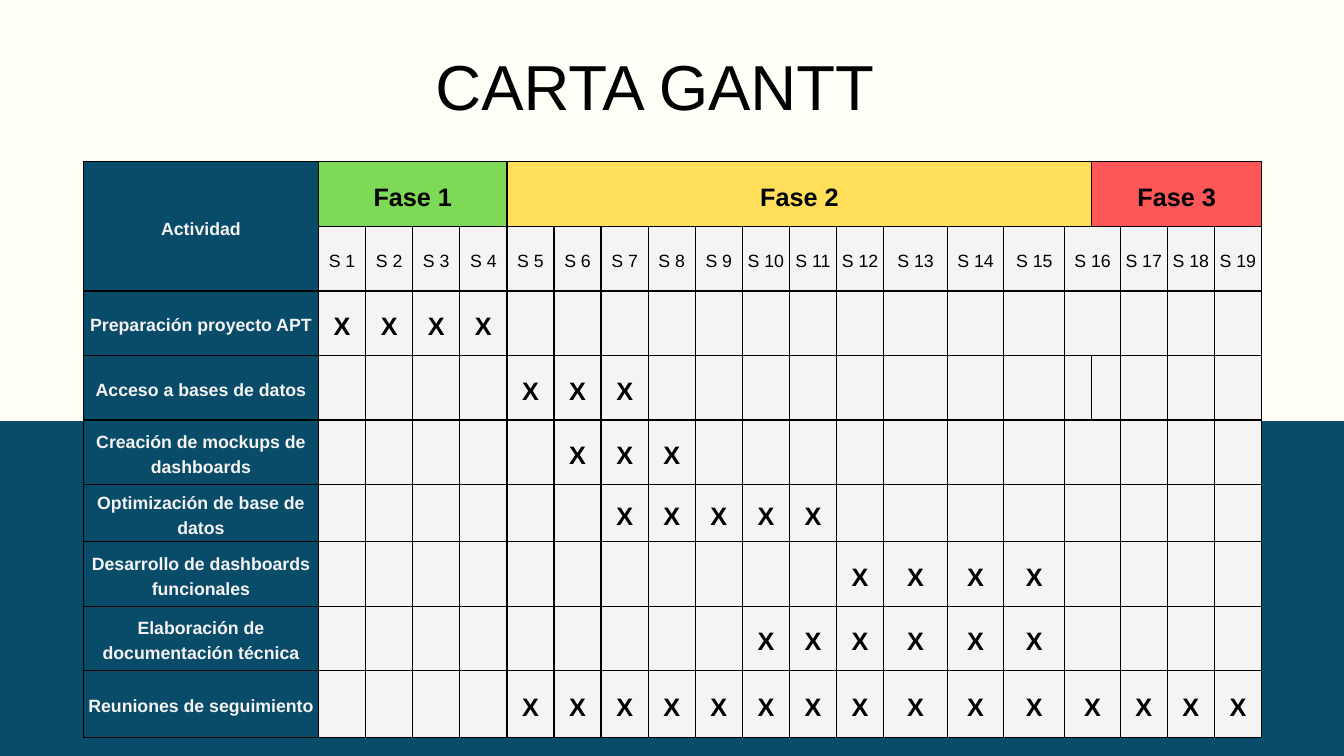
from dataclasses import dataclass

from lxml.etree import SubElement
from pptx import Presentation
from pptx.dml.color import RGBColor
from pptx.enum.shapes import MSO_SHAPE
from pptx.enum.text import MSO_ANCHOR, PP_ALIGN
from pptx.oxml.ns import qn
from pptx.util import Cm, Pt


@dataclass(frozen=True)
class Theme:
    font: str = "Arial"
    cream: str = "FFFEF7"
    navy: str = "094C69"
    pale: str = "F5F3F3"
    black: str = "000000"
    green: str = "7ED957"
    yellow: str = "FFDE59"
    red: str = "FF5757"
    title_size: float = 68.1
    mark_size: float = 27
    label_size: float = 19
    border: float = 1.5


THEME = Theme()

# Phase name, first column, last column, fill
PHASES = [
    ("Fase 1", 1, 4, THEME.green),
    ("Fase 2", 5, 16, THEME.yellow),
    ("Fase 3", 17, 20, THEME.red),
]
# Activity, first week, last week
ACTIVITIES = [
    ("Preparación proyecto APT", 1, 4),
    ("Acceso a bases de datos", 5, 7),
    ("Creación de mockups de dashboards", 6, 8),
    ("Optimización de base de datos", 7, 11),
    ("Desarrollo de dashboards funcionales", 12, 15),
    ("Elaboración de documentación técnica", 10, 15),
    ("Reuniones de seguimiento", 5, 19),
]
WEEKS = 19
SPLIT_WEEK = 16  # takes two columns, as the phase boundary runs through it
UNMERGED_ROW = 3
HEADER_ROWS = 2
COLUMN_WIDTHS = [8.89] + [1.78] * 12 + [2.41, 2.13, 2.31, 1.02, 1.07] + [1.78] * 3
ROW_HEIGHTS = [2.44] * 5 + [2.16, 2.44, 2.44, 2.51]


def write_text(frame, text, *, size, color, bold=False, align=PP_ALIGN.CENTER, spacing=1.4):
    """Fill the first paragraph; spacing is a multiple of the type size."""
    para = frame.paragraphs[0]
    para.alignment = align
    para.line_spacing = Pt(size * spacing)
    span = para.add_run()
    span.text = text
    span.font.name = THEME.font
    span.font.size = Pt(size)
    span.font.bold = bold
    span.font.color.rgb = RGBColor.from_string(color)


def week_column(week):
    return week if week <= SPLIT_WEEK else week + 1


class GanttSlide:
    def __init__(self, deck, theme):
        self.theme = theme
        self.page = deck.slides.add_slide(deck.slide_layouts[6])
        self.paint(self.page.background.fill, theme.cream)

    def paint(self, fill, color):
        fill.solid()
        fill.fore_color.rgb = RGBColor.from_string(color)

    def band(self, left, top, width, height):
        shape = self.page.shapes.add_shape(
            MSO_SHAPE.RECTANGLE, Cm(left), Cm(top), Cm(width), Cm(height))
        shape.shadow.inherit = False
        shape.line.fill.background()
        self.paint(shape.fill, self.theme.navy)

    def title(self, text, left, top, width, height):
        box = self.page.shapes.add_textbox(Cm(left), Cm(top), Cm(width), Cm(height))
        frame = box.text_frame
        frame.word_wrap = True
        frame.margin_left = frame.margin_right = 0
        frame.margin_top = frame.margin_bottom = 0
        write_text(frame, text, size=self.theme.title_size, color=self.theme.black,
                   align=PP_ALIGN.LEFT, spacing=1.14)

    def cell_style(self, cell, color):
        properties = cell._tc.get_or_add_tcPr()
        for side in ("a:lnL", "a:lnR", "a:lnT", "a:lnB"):
            line = SubElement(properties, qn(side), w=str(Pt(self.theme.border)))
            fill = SubElement(line, qn("a:solidFill"))
            SubElement(fill, qn("a:srgbClr"), val=self.theme.black)
        self.paint(cell.fill, color)
        cell.vertical_anchor = MSO_ANCHOR.MIDDLE
        cell.margin_left = cell.margin_right = Cm(0.05)
        cell.margin_top = cell.margin_bottom = Cm(0.05)

    def label(self, cell, text):
        write_text(cell.text_frame, text, size=self.theme.label_size,
                   color=self.theme.pale, bold=True)

    def strong(self, cell, text):
        write_text(cell.text_frame, text, size=self.theme.mark_size,
                   color=self.theme.black, bold=True)

    def grid(self, left, top):
        """Add the styled empty table with its columns and rows sized."""
        table = self.page.shapes.add_table(
            len(ROW_HEIGHTS), len(COLUMN_WIDTHS), Cm(left), Cm(top),
            Cm(sum(COLUMN_WIDTHS)), Cm(sum(ROW_HEIGHTS))).table
        table.first_row = table.horz_banding = False
        for column, width in zip(table.columns, COLUMN_WIDTHS):
            column.width = Cm(width)
        for row, height in zip(table.rows, ROW_HEIGHTS):
            row.height = Cm(height)
            for index, cell in enumerate(row.cells):
                self.cell_style(cell, self.theme.pale if index else self.theme.navy)
        return table

    def gantt(self, left, top):
        table = self.grid(left, top)
        corner = table.cell(0, 0)
        corner.merge(table.cell(1, 0))
        self.label(corner, "Actividad")

        for name, first, last, color in PHASES:
            for column in range(first, last + 1):
                self.paint(table.cell(0, column).fill, color)
            table.cell(0, first).merge(table.cell(0, last))
            self.strong(table.cell(0, first), name)

        for row in range(1, len(ROW_HEIGHTS)):
            if row != UNMERGED_ROW:
                table.cell(row, SPLIT_WEEK).merge(table.cell(row, SPLIT_WEEK + 1))

        for week in range(1, WEEKS + 1):
            write_text(table.cell(1, week_column(week)).text_frame, f"S {week}",
                       size=self.theme.label_size, color=self.theme.black)

        for row, (name, first, last) in enumerate(ACTIVITIES, HEADER_ROWS):
            self.label(table.cell(row, 0), name)
            for week in range(first, last + 1):
                self.strong(table.cell(row, week_column(week)), "X")


def main():
    deck = Presentation()
    deck.slide_width, deck.slide_height = Cm(50.8), Cm(28.58)
    slide = GanttSlide(deck, THEME)
    slide.band(-1.45, 15.92, 53.7, 13.73)
    slide.gantt(3.15, 6.12)
    slide.title("CARTA GANTT", 16.46, 1.93, 17.88, 2.77)
    deck.save("out.pptx")


if __name__ == "__main__":
    main()
